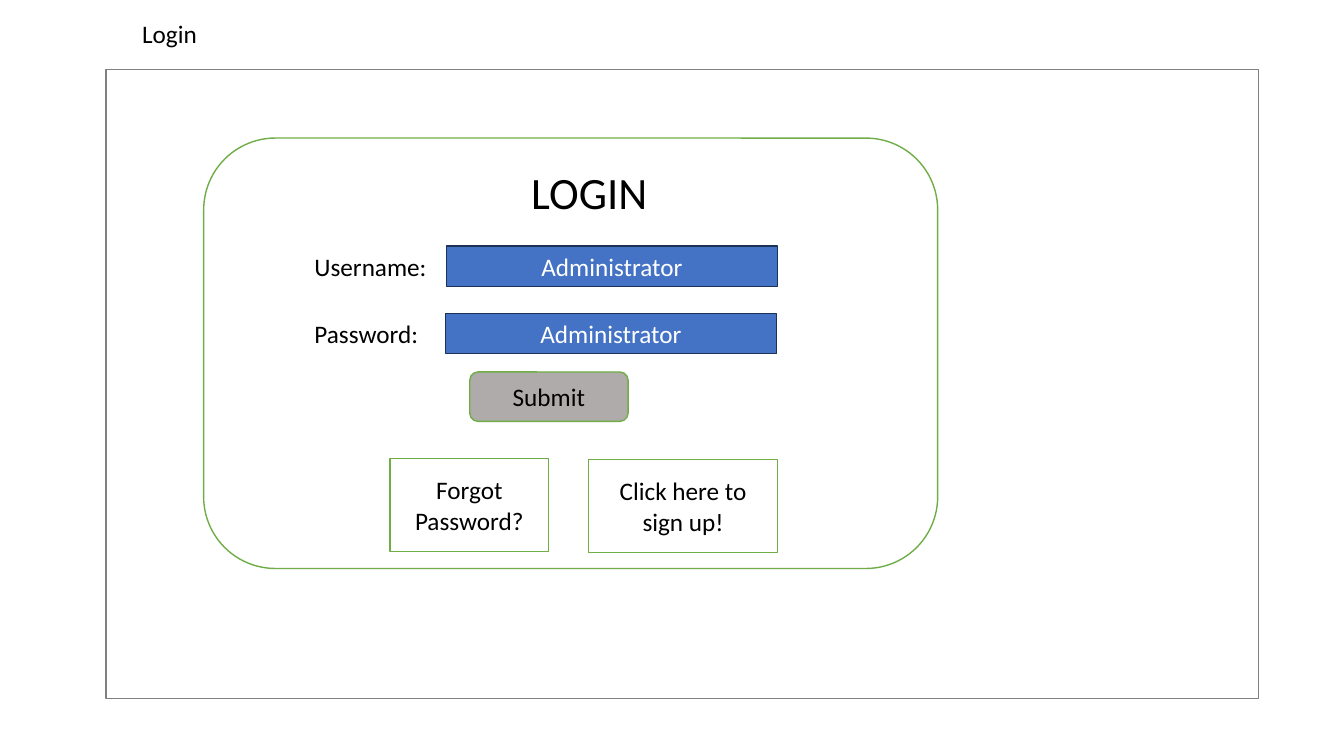
from dataclasses import dataclass
from typing import Optional

from pptx import Presentation
from pptx.dml.color import RGBColor
from pptx.enum.shapes import MSO_SHAPE
from pptx.enum.text import MSO_ANCHOR, MSO_AUTO_SIZE, PP_ALIGN
from pptx.util import Inches, Pt

RECT, ROUNDED = MSO_SHAPE.RECTANGLE, MSO_SHAPE.ROUNDED_RECTANGLE
TOP, MIDDLE = MSO_ANCHOR.TOP, MSO_ANCHOR.MIDDLE
LEFT, CENTER = PP_ALIGN.LEFT, PP_ALIGN.CENTER
FIT_SHAPE, NO_FIT = MSO_AUTO_SIZE.SHAPE_TO_FIT_TEXT, MSO_AUTO_SIZE.NONE


@dataclass(frozen=True)
class Theme:
    font: str = "Calibri"
    body: int = 18
    heading: int = 32
    line_width: int = 1
    black: str = "000000"
    white: str = "FFFFFF"
    frame: str = "808080"
    green: str = "70AD47"
    blue: str = "4472C4"
    navy: str = "1E3256"
    gray: str = "AFABAB"


THEME = Theme()


@dataclass(frozen=True)
class Box:
    left: float
    top: float
    width: float
    height: float
    text: str = ""
    kind: int = RECT
    fill: str = THEME.white
    line: Optional[str] = THEME.green
    color: str = THEME.black
    size: int = THEME.body


@dataclass(frozen=True)
class Field:
    label: str
    value: str
    left: float
    top: float


# Window frame and login panel
PANELS = [
    Box(1.05, 0.69, 11.43, 6.24, line=THEME.frame),
    Box(2.02, 1.37, 7.28, 4.27, kind=ROUNDED),
]

FIELDS = [
    Field("Username:", "Administrator", 4.43, 2.44),
    Field("Password:", "Administrator", 4.42, 3.11),
]

# Buttons and panel heading
CONTROLS = [
    Box(3.87, 4.55, 1.57, 0.92, "Forgot Password?"),
    Box(5.84, 4.56, 1.87, 0.92, "Click here to sign up!"),
    Box(4.66, 3.69, 1.57, 0.49, "Submit", kind=ROUNDED, fill=THEME.gray),
    Box(3.81, 1.5, 4.07, 0.81, "LOGIN", line=None, size=THEME.heading),
]


def write(tf, text: str, align, anchor, fit, color: str = THEME.black,
          size: int = THEME.body) -> None:
    tf.word_wrap = True
    tf.auto_size = fit
    tf.vertical_anchor = anchor
    p = tf.paragraphs[0]
    p.alignment = align
    r = p.add_run()
    r.text = text
    r.font.name = THEME.font
    r.font.size = Pt(size)
    r.font.color.rgb = RGBColor.from_string(color)


def add_box(s, box: Box) -> None:
    sp = s.shapes.add_shape(box.kind, Inches(box.left), Inches(box.top),
                            Inches(box.width), Inches(box.height))
    sp.shadow.inherit = False
    sp.fill.solid()
    sp.fill.fore_color.rgb = RGBColor.from_string(box.fill)
    if box.line:
        sp.line.color.rgb = RGBColor.from_string(box.line)
        sp.line.width = Pt(THEME.line_width)
    else:
        sp.line.fill.background()
    if box.text:
        write(sp.text_frame, box.text, CENTER, MIDDLE, NO_FIT, box.color, box.size)


def add_field(s, field: Field) -> None:
    label = s.shapes.add_textbox(Inches(3.02), Inches(field.top),
                                 Inches(1.41), Inches(0.4))
    write(label.text_frame, field.label, LEFT, TOP, FIT_SHAPE)
    add_box(s, Box(field.left, field.top, 3.28, 0.4, field.value,
                   fill=THEME.blue, line=THEME.navy, color=THEME.white))


def add_title(s, text: str) -> None:
    title = s.shapes.title
    title.left, title.top = Inches(1.31), Inches(0.13)
    title.width, title.height = Inches(3.98), Inches(0.4)
    write(title.text_frame, text, LEFT, TOP, FIT_SHAPE)


def main() -> None:
    prs = Presentation()
    prs.slide_width, prs.slide_height = Inches(13.33), Inches(7.5)
    s = prs.slides.add_slide(prs.slide_layouts[5])
    add_title(s, "Login")
    for panel in PANELS:
        add_box(s, panel)
    for field in FIELDS:
        add_field(s, field)
    for control in CONTROLS:
        add_box(s, control)
    prs.save("out.pptx")


if __name__ == "__main__":
    main()
